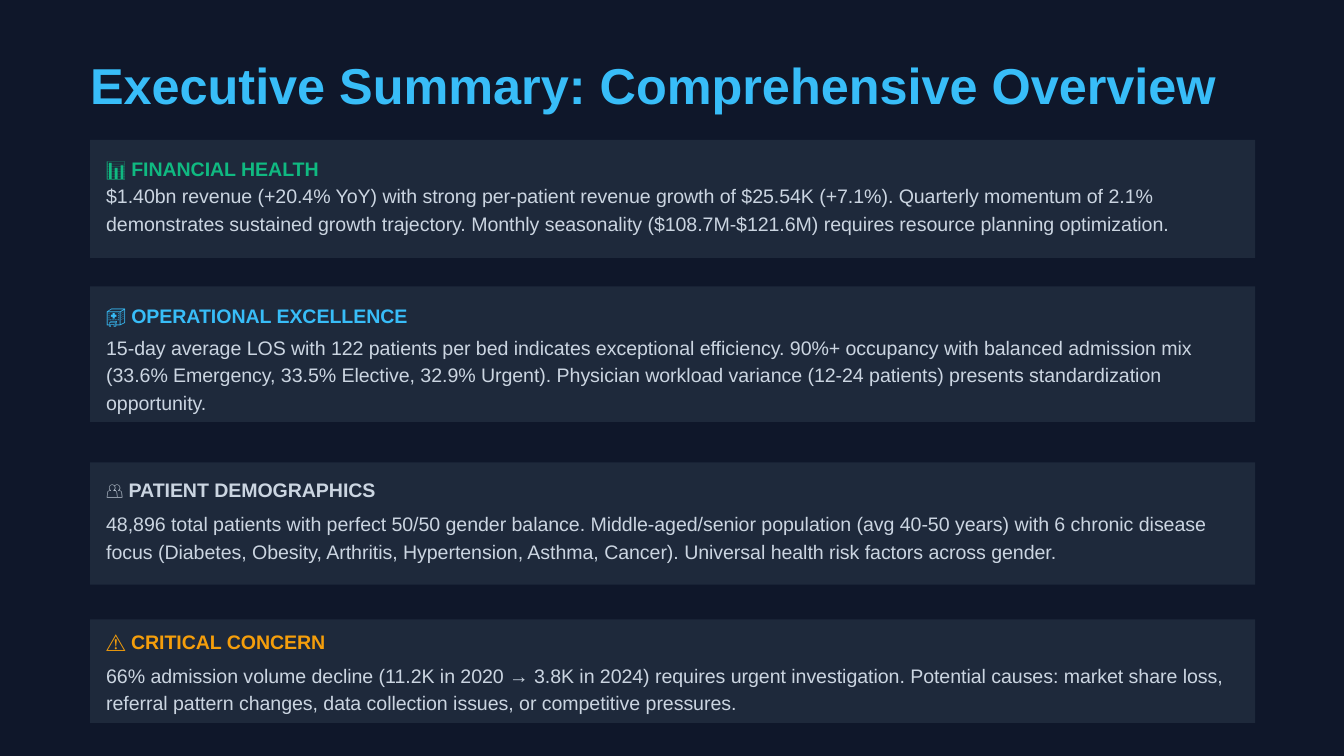
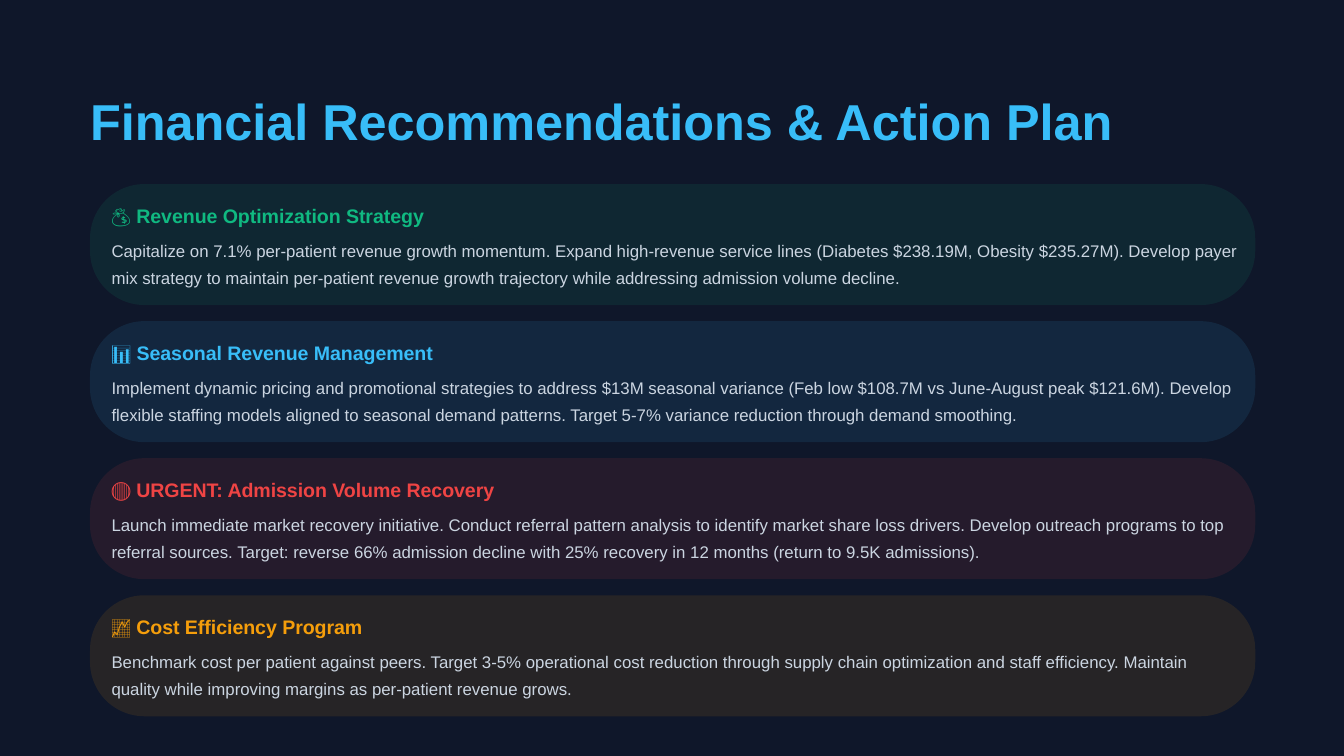
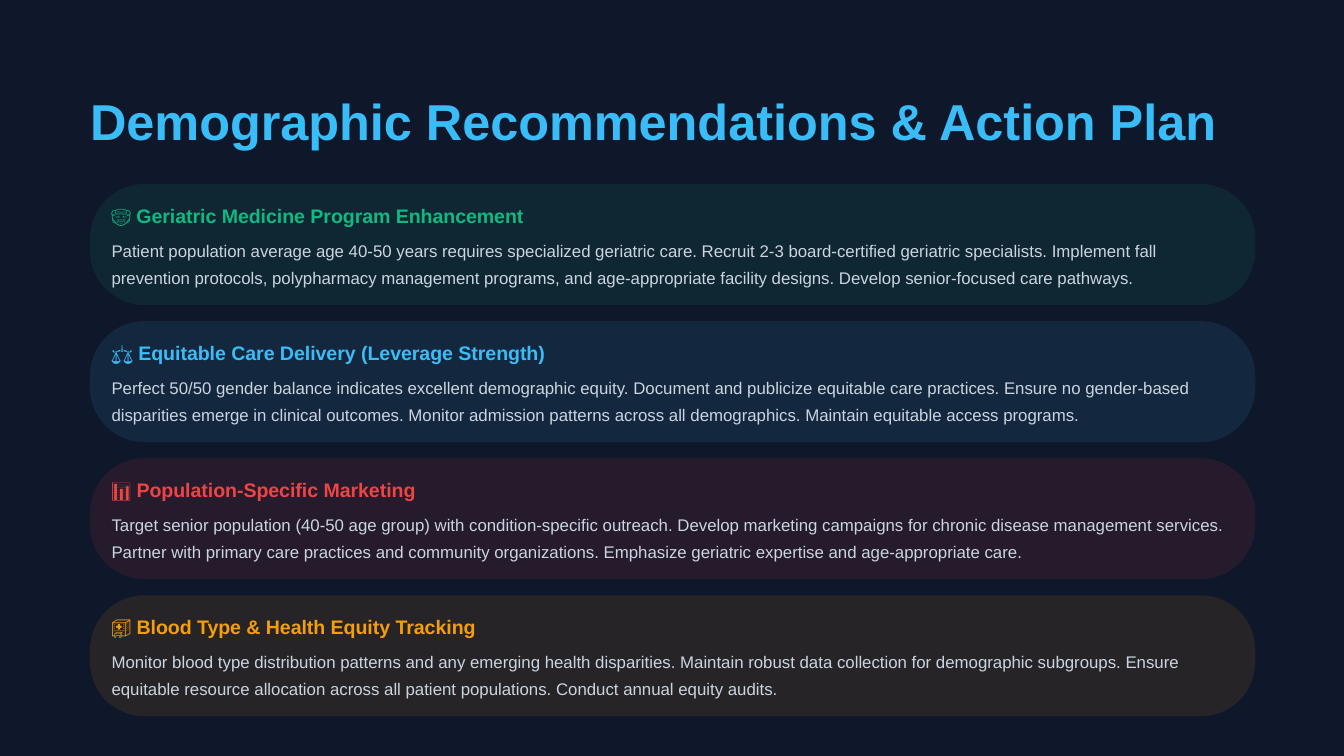
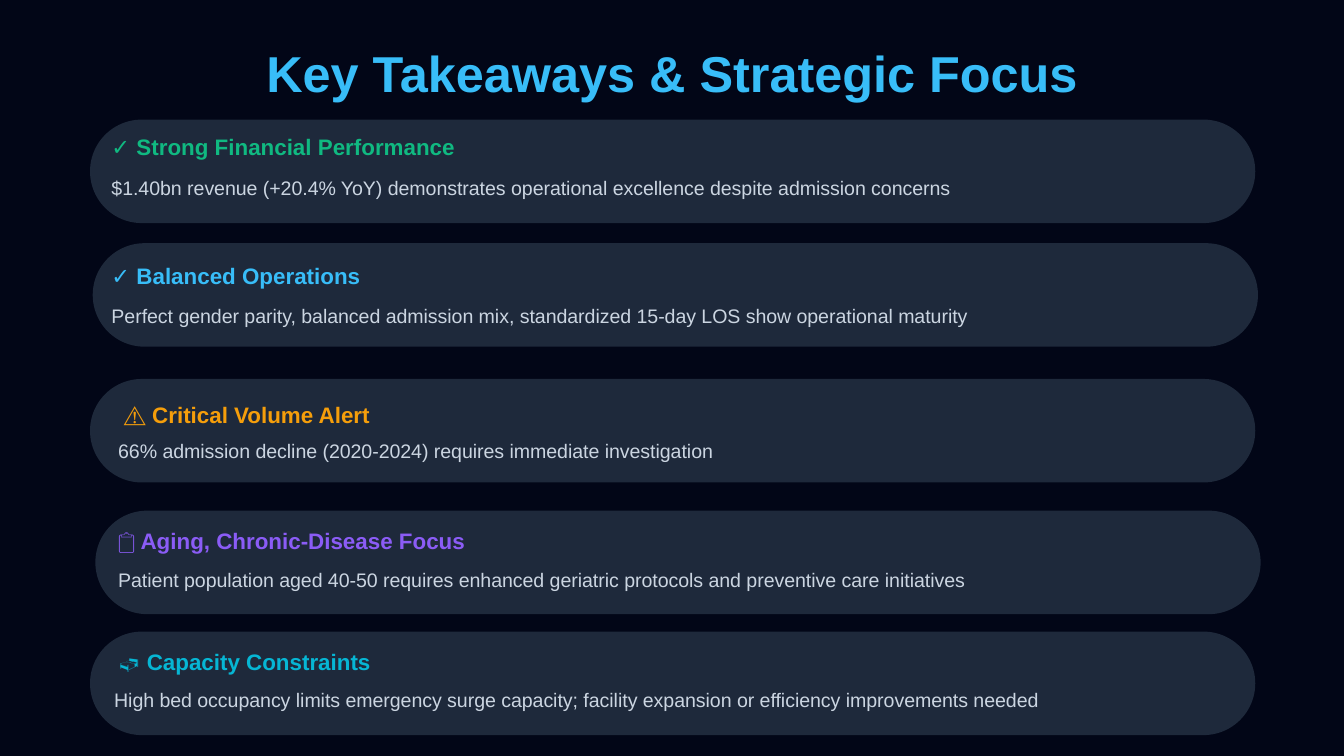
import collections

import lxml.etree
import pptx
import pptx.dml.color
import pptx.enum.shapes
import pptx.enum.text
import pptx.oxml.ns
import pptx.util

PX = 9144
PAGE_WIDTH = 1000
FONT = "Arial"
COLORS = {
    "navy": "0F172A",
    "midnight": "020617",
    "panel": "1E293B",
    "blue": "38BDF8",
    "green": "10B981",
    "red": "EF4444",
    "amber": "F59E0B",
    "violet": "8B5CF6",
    "cyan": "06B6D4",
    "body": "CBD5E1",
}
SHAPES = pptx.enum.shapes.MSO_SHAPE
ALIGN = pptx.enum.text.PP_ALIGN

Box = collections.namedtuple("Box", "left top width height")
Style = collections.namedtuple("Style", "size leading color bold")

TITLE = Style(27, 32.4, "blue", True)
BODY = Style(10.5, 14.7, "body", False)
SMALL_BODY = Style(9, 14.4, "body", False)

SUMMARY = [
    (104, 88, 10, 30, 41, "green", "📊 FINANCIAL HEALTH",
     "$1.40bn revenue (+20.4% YoY) with strong per-patient revenue growth of $25.54K (+7.1%). "
     "Quarterly momentum of 2.1% demonstrates sustained growth trajectory. "
     "Monthly seasonality ($108.7M-$121.6M) requires resource planning optimization."),
    (213, 101, 10, 34, 61, "blue", "🏥 OPERATIONAL EXCELLENCE",
     "15-day average LOS with 122 patients per bed indicates exceptional efficiency. "
     "90%+ occupancy with balanced admission mix (33.6% Emergency, 33.5% Elective, 32.9% Urgent). "
     "Physician workload variance (12-24 patients) presents standardization opportunity."),
    (344, 91, 9, 34, 41, "body", "👥 PATIENT DEMOGRAPHICS",
     "48,896 total patients with perfect 50/50 gender balance. "
     "Middle-aged/senior population (avg 40-50 years) with 6 chronic disease focus "
     "(Diabetes, Obesity, Arthritis, Hypertension, Asthma, Cancer). "
     "Universal health risk factors across gender."),
    (461, 77, 5, 30, 41, "amber", "⚠️ CRITICAL CONCERN",
     "66% admission volume decline (11.2K in 2020 → 3.8K in 2024) requires urgent investigation. "
     "Potential causes: market share loss, referral pattern changes, data collection issues, "
     "or competitive pressures."),
]

FINANCIAL = [
    ("💰 Revenue Optimization Strategy",
     "Capitalize on 7.1% per-patient revenue growth momentum. "
     "Expand high-revenue service lines (Diabetes $238.19M, Obesity $235.27M). "
     "Develop payer mix strategy to maintain per-patient revenue growth trajectory "
     "while addressing admission volume decline."),
    ("📊 Seasonal Revenue Management",
     "Implement dynamic pricing and promotional strategies to address $13M seasonal variance "
     "(Feb low $108.7M vs June-August peak $121.6M). "
     "Develop flexible staffing models aligned to seasonal demand patterns. "
     "Target 5-7% variance reduction through demand smoothing."),
    ("🔴 URGENT: Admission Volume Recovery",
     "Launch immediate market recovery initiative. "
     "Conduct referral pattern analysis to identify market share loss drivers. "
     "Develop outreach programs to top referral sources. "
     "Target: reverse 66% admission decline with 25% recovery in 12 months "
     "(return to 9.5K admissions)."),
    ("📈 Cost Efficiency Program",
     "Benchmark cost per patient against peers. "
     "Target 3-5% operational cost reduction through supply chain optimization and staff efficiency. "
     "Maintain quality while improving margins as per-patient revenue grows."),
]

DEMOGRAPHIC = [
    ("👴 Geriatric Medicine Program Enhancement",
     "Patient population average age 40-50 years requires specialized geriatric care. "
     "Recruit 2-3 board-certified geriatric specialists. "
     "Implement fall prevention protocols, polypharmacy management programs, "
     "and age-appropriate facility designs. Develop senior-focused care pathways."),
    ("⚖️ Equitable Care Delivery (Leverage Strength)",
     "Perfect 50/50 gender balance indicates excellent demographic equity. "
     "Document and publicize equitable care practices. "
     "Ensure no gender-based disparities emerge in clinical outcomes. "
     "Monitor admission patterns across all demographics. Maintain equitable access programs."),
    ("📊 Population-Specific Marketing",
     "Target senior population (40-50 age group) with condition-specific outreach. "
     "Develop marketing campaigns for chronic disease management services. "
     "Partner with primary care practices and community organizations. "
     "Emphasize geriatric expertise and age-appropriate care."),
    ("🏥 Blood Type & Health Equity Tracking",
     "Monitor blood type distribution patterns and any emerging health disparities. "
     "Maintain robust data collection for demographic subgroups. "
     "Ensure equitable resource allocation across all patient populations. "
     "Conduct annual equity audits."),
]

TAKEAWAYS = [
    (67, 89, (16, 7), (16, 39), "green", "✓ Strong Financial Performance",
     "$1.40bn revenue (+20.4% YoY) demonstrates operational excellence despite admission concerns"),
    (69, 181, (14, 11), (14, 42), "blue", "✓ Balanced Operations",
     "Perfect gender parity, balanced admission mix, standardized 15-day LOS show operational maturity"),
    (67, 282, (25, 13), (21, 42), "amber", "⚠ Critical Volume Alert",
     "66% admission decline (2020-2024) requires immediate investigation"),
    (71, 380, (17, 9), (17, 40), "violet", "📋 Aging, Chronic-Disease Focus",
     "Patient population aged 40-50 requires enhanced geriatric protocols and preventive care initiatives"),
    (67, 470, (21, 9), (18, 39), "cyan", "🛏 Capacity Constraints",
     "High bed occupancy limits emergency surge capacity; "
     "facility expansion or efficiency improvements needed"),
]


def rgb(name):
    return pptx.dml.color.RGBColor.from_string(COLORS[name])


def emu(box):
    return [length * PX for length in box]


def inside(box, left, top, width, height):
    return Box(box.left + left, box.top + top, width, height)


def write(shape, text, style, align=ALIGN.LEFT):
    frame = shape.text_frame
    frame.word_wrap = True
    frame.auto_size = pptx.enum.text.MSO_AUTO_SIZE.NONE
    frame.vertical_anchor = pptx.enum.text.MSO_ANCHOR.TOP
    frame.margin_left = frame.margin_top = frame.margin_right = frame.margin_bottom = 0
    para = frame.paragraphs[0]
    para.alignment = align
    para.line_spacing = pptx.util.Pt(style.leading)
    span = para.add_run()
    span.text = text
    span.font.name = FONT
    span.font.size = pptx.util.Pt(style.size)
    span.font.bold = style.bold
    span.font.color.rgb = rgb(style.color)


def add_text(page, box, text, style):
    write(page.shapes.add_textbox(*emu(box)), text, style)


def add_page(deck, title, title_box, background="navy", align=ALIGN.LEFT):
    page = deck.slides.add_slide(deck.slide_layouts[5])
    page.background.fill.solid()
    page.background.fill.fore_color.rgb = rgb(background)
    heading = page.shapes.title
    heading.left, heading.top, heading.width, heading.height = emu(title_box)
    write(heading, title, TITLE, align)
    return page


def add_panel(page, box, color, rounding=None, opacity=None):
    kind = SHAPES.ROUNDED_RECTANGLE if rounding else SHAPES.RECTANGLE
    panel = page.shapes.add_shape(kind, *emu(box))
    panel.shadow.inherit = False
    panel.line.fill.background()
    panel.fill.solid()
    panel.fill.fore_color.rgb = rgb(color)
    if rounding:
        panel.adjustments[0] = rounding
    if opacity:
        tint = panel.fill._xPr.find(".//" + pptx.oxml.ns.qn("a:srgbClr"))
        alpha = lxml.etree.SubElement(tint, pptx.oxml.ns.qn("a:alpha"))
        alpha.set("val", str(opacity * 1000))


def summary_card(page, box, heading_top, body_top, body_height, color, heading, body):
    add_panel(page, box, "panel")
    add_text(page, inside(box, 12, heading_top, 859, 20), heading, Style(10.5, 14.7, color, True))
    add_text(page, inside(box, 12, body_top, 842, body_height), body, BODY)


def action_card(page, box, color, heading, body):
    add_panel(page, box, color, rounding=0.45, opacity=10)
    add_text(page, inside(box, 16, 12, 854, 20), heading, Style(10.5, 14.7, color, True))
    add_text(page, inside(box, 16, 37, 838, 40), body, SMALL_BODY)


def takeaway_card(page, box, heading_at, body_at, color, heading, body):
    add_panel(page, box, "panel", rounding=0.52)
    add_text(page, inside(box, *heading_at, 850, 23), heading, Style(12, 16.8, color, True))
    add_text(page, inside(box, *body_at, 850, 20), body, BODY)


def summary_page(deck):
    page = add_page(deck, "Executive Summary: Comprehensive Overview", Box(67, 40, 884, 45))
    for top, height, *content in SUMMARY:
        summary_card(page, Box(67, top, 867, height), *content)


def action_page(deck, title, actions):
    page = add_page(deck, title, Box(67, 67, 884, 45))
    for row, (color, action) in enumerate(zip(("green", "blue", "red", "amber"), actions)):
        action_card(page, Box(67, 137 + 102 * row, 867, 90), color, *action)


def takeaway_page(deck):
    page = add_page(deck, "Key Takeaways & Strategic Focus", Box(58, 31, 884, 45),
                    "midnight", ALIGN.CENTER)
    for left, top, *content in TAKEAWAYS:
        takeaway_card(page, Box(left, top, 867, 77), *content)


def main():
    deck = pptx.Presentation()
    deck.slide_width = PAGE_WIDTH * PX
    deck.slide_height = PAGE_WIDTH * PX * 9 // 16
    summary_page(deck)
    action_page(deck, "Financial Recommendations & Action Plan", FINANCIAL)
    action_page(deck, "Demographic Recommendations & Action Plan", DEMOGRAPHIC)
    takeaway_page(deck)
    deck.save("out.pptx")


if __name__ == "__main__":
    main()
